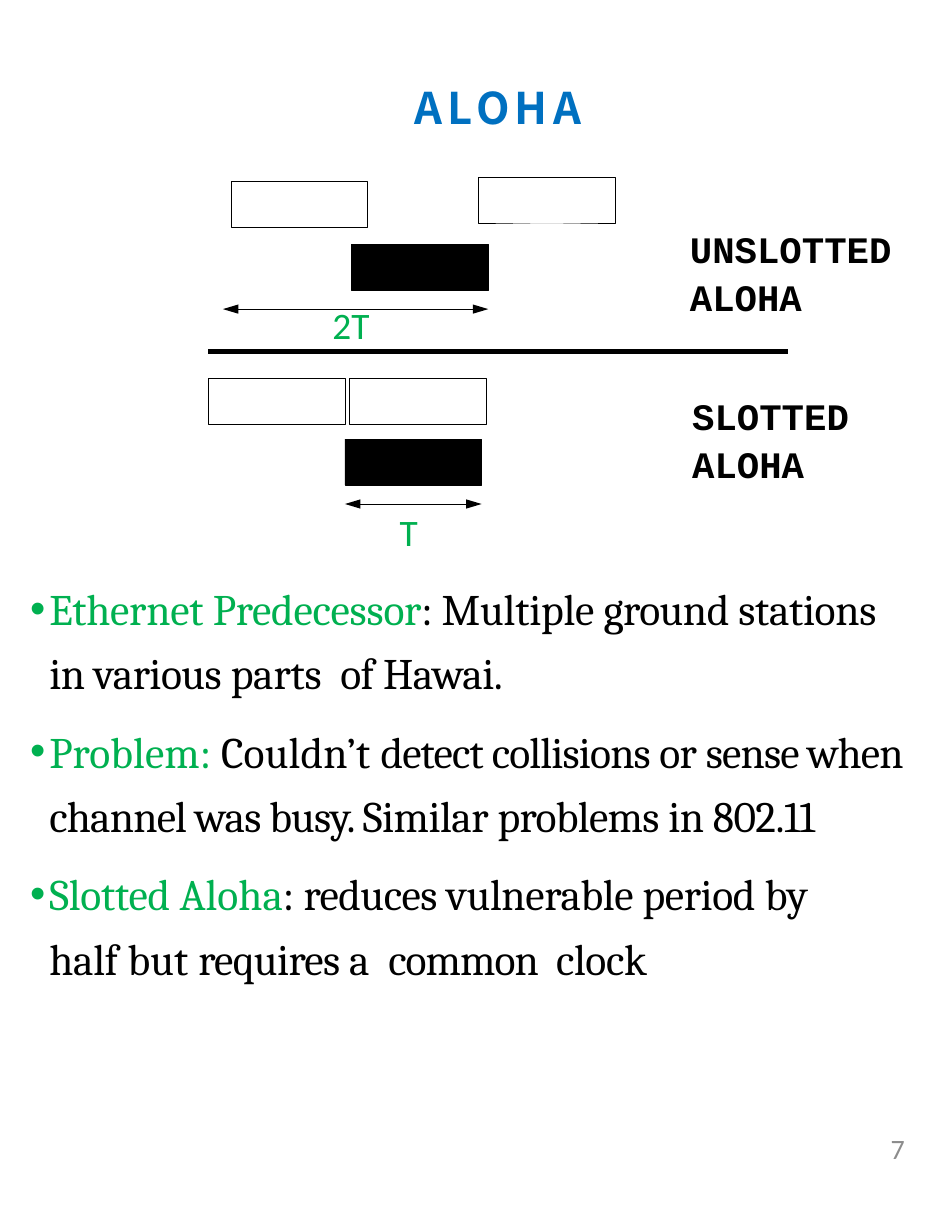
from lxml.etree import SubElement
from pptx import Presentation
from pptx.dml.color import RGBColor
from pptx.enum.shapes import MSO_CONNECTOR, MSO_SHAPE
from pptx.enum.text import MSO_ANCHOR, MSO_AUTO_SIZE, PP_ALIGN
from pptx.oxml.ns import qn
from pptx.util import Inches, Pt

COLORS = {"blue": "0070C0", "green": "00B050", "black": "000000", "gray": "8C8C8C"}
FRAME_W, FRAME_H = 1.22, 0.41

# Runs are (text, colour, letter spacing in points).
BULLETS = [
    [("Ethernet Predecessor", "green", -0.1), (": Multiple ", "black", -0.1),
     ("ground ", "black", -0.3), ("stations ", "black", -0.2),
     ("in various ", "black", -0.3), ("parts  ", "black", -0.1),
     ("of ", "black", -0.4), ("Hawai.", "black", -0.3)],
    [("Problem: ", "green", 0.1), ("Couldn’t ", "black", 0.1),
     ("detect collisions ", "black", -0.5), ("or ", "black", -0.4),
     ("sense when channel was busy. ", "black", -0.5),
     ("Similar ", "black", -0.3), ("problems ", "black", -0.4),
     ("in 802.11", "black", -0.3)],
    [("Slotted ", "green", -0.1), ("Aloha", "green", 0), (": ", "black", 0),
     ("reduces ", "black", -0.3), ("vulnerable period ", "black", -0.2),
     ("by ", "black", 0), ("half ", "black", -0.2), ("but ", "black", 0.1),
     ("requires ", "black", -0.4), ("a  ", "black", -0.1),
     ("common  ", "black", -0.6), ("clock", "black", -0.2)],
]


def rgb(name):
    return RGBColor.from_string(COLORS[name])


class SlideBuilder:
    def __init__(self, slide):
        self.s = slide

    def place(self, sp, x, y, w, h, margin=0):
        """Position a text shape and reset its frame."""
        sp.left, sp.top, sp.width, sp.height = map(Inches, (x, y, w, h))
        tf = sp.text_frame
        tf.word_wrap = True
        tf.auto_size = MSO_AUTO_SIZE.NONE
        tf.vertical_anchor = MSO_ANCHOR.TOP
        tf.margin_left = tf.margin_right = Inches(margin)
        tf.margin_top = tf.margin_bottom = Inches(margin / 2)
        return tf

    def style(self, p, size, font, bold=False):
        p.font.size, p.font.name, p.font.bold = Pt(size), font, bold

    def run(self, p, text, color, spacing=0):
        r = p.add_run()
        r.text = text
        r.font.color.rgb = rgb(color)
        r._r.get_or_add_rPr().set("spc", str(round(spacing * 100)))

    def title(self, text, x, y, w, h):
        p = self.place(self.s.shapes.title, x, y, w, h).paragraphs[0]
        p.alignment = PP_ALIGN.LEFT
        self.style(p, 28, "Noto Sans CJK TC", True)
        self.run(p, text, "blue", 3.4)

    def text(self, text, x, y, w, h, size, font, color, bold=False, margin=0):
        tf = self.place(self.s.shapes.add_textbox(0, 0, 0, 0), x, y, w, h, margin)
        p = tf.paragraphs[0]
        self.style(p, size, font, bold)
        self.run(p, text, color)
        return p

    def bullets(self, items, x, y, w, h):
        tf = self.place(self.s.placeholders[1], x, y, w, h)
        for i, runs in enumerate(items):
            p = tf.add_paragraph() if i else tf.paragraphs[0]
            p.line_spacing = 1.23
            p.space_before = Pt(9 if i else 0)
            self.style(p, 28, "Cambria")
            pPr = p._p.get_or_add_pPr()
            pPr.set("marL", str(Inches(0.19)))
            pPr.set("indent", str(Inches(-0.17)))
            for run in runs:
                self.run(p, *run)
        pPr.set("marR", str(Inches(0.6)))  # keeps "half" on the last line

    def frame(self, x, y, filled=False):
        sp = self.s.shapes.add_shape(
            MSO_SHAPE.RECTANGLE, *map(Inches, (x, y, FRAME_W, FRAME_H)))
        sp.shadow.inherit = False
        if filled:
            sp.fill.solid()
            sp.fill.fore_color.rgb = rgb("black")
        else:
            sp.fill.background()
        sp.line.color.rgb = rgb("black")
        sp.line.width = Pt(0.25)

    def line(self, x1, x2, y, width=0.25, arrows=False):
        c = self.s.shapes.add_connector(
            MSO_CONNECTOR.STRAIGHT, *map(Inches, (x1, y, x2, y)))
        c.line.color.rgb = rgb("black")
        c.line.width = Pt(width)
        if arrows:
            for end in ("a:headEnd", "a:tailEnd"):
                SubElement(c.line._get_or_add_ln(), qn(end),
                           type="triangle", w="med", len="lg")
        SubElement(c._element.spPr, qn("a:effectLst"))


def main():
    prs = Presentation()
    prs.slide_width, prs.slide_height = Inches(8.5), Inches(11)
    b = SlideBuilder(prs.slides.add_slide(prs.slide_layouts[1]))

    b.title("ALOHA", 3.7, 0.72, 1.72, 0.47)

    for x, y, filled in [(2.06, 1.62, False), (3.14, 2.18, True), (4.27, 1.58, False),
                         (1.86, 3.38, False), (3.08, 3.92, True), (3.12, 3.38, False)]:
        b.frame(x, y, filled)
    b.line(1.99, 4.36, 2.76, arrows=True)
    b.line(3.08, 4.3, 4.5, arrows=True)
    b.line(1.86, 7.04, 3.14, width=2.95)

    for text, x, y in [("UNSLOTTED ALOHA", 6.16, 2), ("SLOTTED ALOHA", 6.18, 3.49)]:
        p = b.text(text, x, y, 2.3, 0.82, 24, "Courier New", "black", bold=True)
        p.line_spacing = 1.06
    for text, x, y in [("2T", 2.87, 2.65), ("T", 3.47, 4.5)]:
        b.text(text, x, y, 0.61, 0.5, 24, "Calibri", "green", margin=0.1)

    b.bullets(BULLETS, 0.25, 5.09, 7.92, 4.31)

    p = b.text("7", 6.12, 10.23, 1.96, 0.55, 18, "Calibri", "gray")
    p.alignment = PP_ALIGN.RIGHT
    p.line_spacing = Pt(12.3)

    prs.save("out.pptx")


if __name__ == "__main__":
    main()
